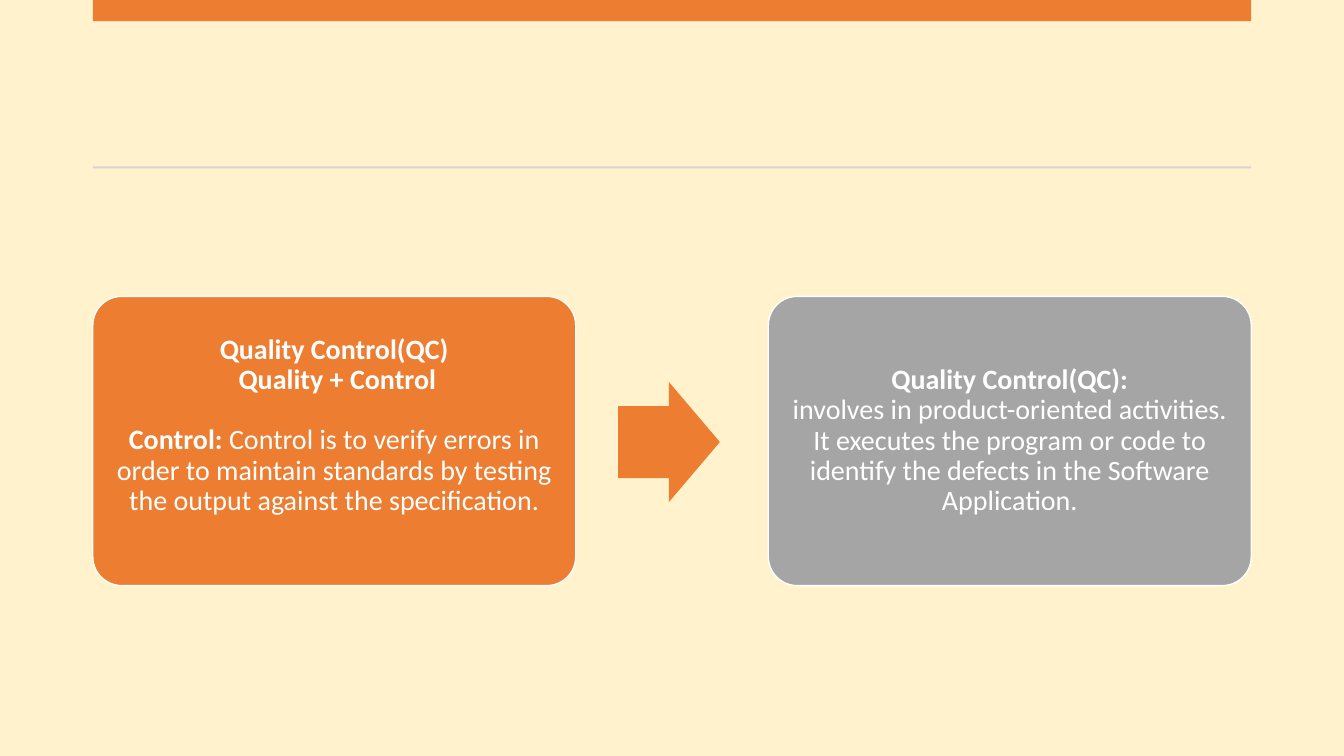
from dataclasses import dataclass

from pptx import Presentation
from pptx.dml.color import RGBColor as Rgb
from pptx.enum.shapes import MSO_SHAPE as Kind
from pptx.enum.text import MSO_ANCHOR as Anchor, PP_ALIGN as Align
from pptx.util import Inches, Pt


@dataclass(frozen=True)
class Theme:
    """Colours and type of the slide."""
    cream: str = "FFF2CC"
    orange: str = "ED7D31"
    gray: str = "A5A5A5"
    rule: str = "D5D5D5"
    white: str = "FFFFFF"
    font: str = "Calibri"
    size: int = 20
    gap: float = 21.5


LOOK = Theme()
LEFT, WIDE = 0.92, 11.49
CARD_W, CARD_H, CARD_TOP = 4.79, 2.87, 2.94
INSET = 0.08

# Each card holds paragraphs, each paragraph lines, each line (text, bold) runs.
CONTROL = [
    [[("Quality Control(QC)", True)], [("\u00a0Quality + Control", True)]],
    [[("Control:\u00a0", True),
      ("Control is to verify errors in order to maintain standards "
       "by testing the output against the specification.", False)]],
]
PRODUCT = [
    [[("Quality Control(QC):", True)],
     [("involves in product-oriented activities. It executes the program "
       "or code to identify the defects in the Software Application.", False)]],
]


def assign(item, values):
    """Set attributes of an item from a dict."""
    for name, value in values.items():
        setattr(item, name, value)


def add_form(slide, kind, box, fill, adjust=()):
    """Add a flat preset shape without an outline."""
    form = slide.shapes.add_shape(kind, *map(Inches, box))
    form.shadow.inherit = False
    form.fill.solid()
    form.fill.fore_color.rgb = Rgb.from_string(fill)
    form.line.fill.background()
    for place, value in enumerate(adjust):
        form.adjustments[place] = value
    return form


def add_run(para, text, bold):
    """Add a run in the card's type."""
    run = para.add_run()
    run.text = text
    assign(run.font, {"name": LOOK.font, "size": Pt(LOOK.size), "bold": bold})
    run.font.color.rgb = Rgb.from_string(LOOK.white)


def add_card(slide, left, fill, paras, lift=0):
    """Add a rounded card with centred text, raised by half of lift."""
    box = (left, CARD_TOP, CARD_W, CARD_H)
    card = add_form(slide, Kind.ROUNDED_RECTANGLE, box, fill, [0.1])
    card.line.color.rgb = Rgb.from_string(LOOK.white)
    card.line.width = Pt(1)
    frame = card.text_frame
    edge = Inches(INSET)
    assign(frame, {
        "word_wrap": True, "vertical_anchor": Anchor.MIDDLE,
        "margin_left": edge, "margin_right": edge,
        "margin_top": edge, "margin_bottom": Inches(INSET + lift),
    })
    for order, lines in enumerate(paras):
        para = frame.add_paragraph() if order else frame.paragraphs[0]
        assign(para, {
            "alignment": Align.CENTER, "line_spacing": 0.9,
            "space_before": Pt(LOOK.gap if order else 0),
        })
        for count, runs in enumerate(lines):
            if count:
                para.add_line_break()
            for text, bold in runs:
                add_run(para, text, bold)


def main():
    """Build and save the slide."""
    deck = Presentation()
    assign(deck, {"slide_width": Inches(13.33), "slide_height": Inches(7.5)})
    slide = deck.slides.add_slide(deck.slide_layouts[6])
    slide.background.fill.solid()
    slide.background.fill.fore_color.rgb = Rgb.from_string(LOOK.cream)

    add_form(slide, Kind.RECTANGLE, (LEFT, 0, WIDE, 0.21), LOOK.orange)
    add_form(slide, Kind.RECTANGLE, (LEFT, 1.65, WIDE, 0.02), LOOK.rule)
    add_card(slide, LEFT, LOOK.orange, CONTROL, lift=0.3)
    add_form(slide, Kind.RIGHT_ARROW, (6.13, 3.79, 1.01, 1.19),
             LOOK.orange, [0.6, 0.5])
    add_card(slide, LEFT + WIDE - CARD_W, LOOK.gray, PRODUCT)
    deck.save("out.pptx")


main()
